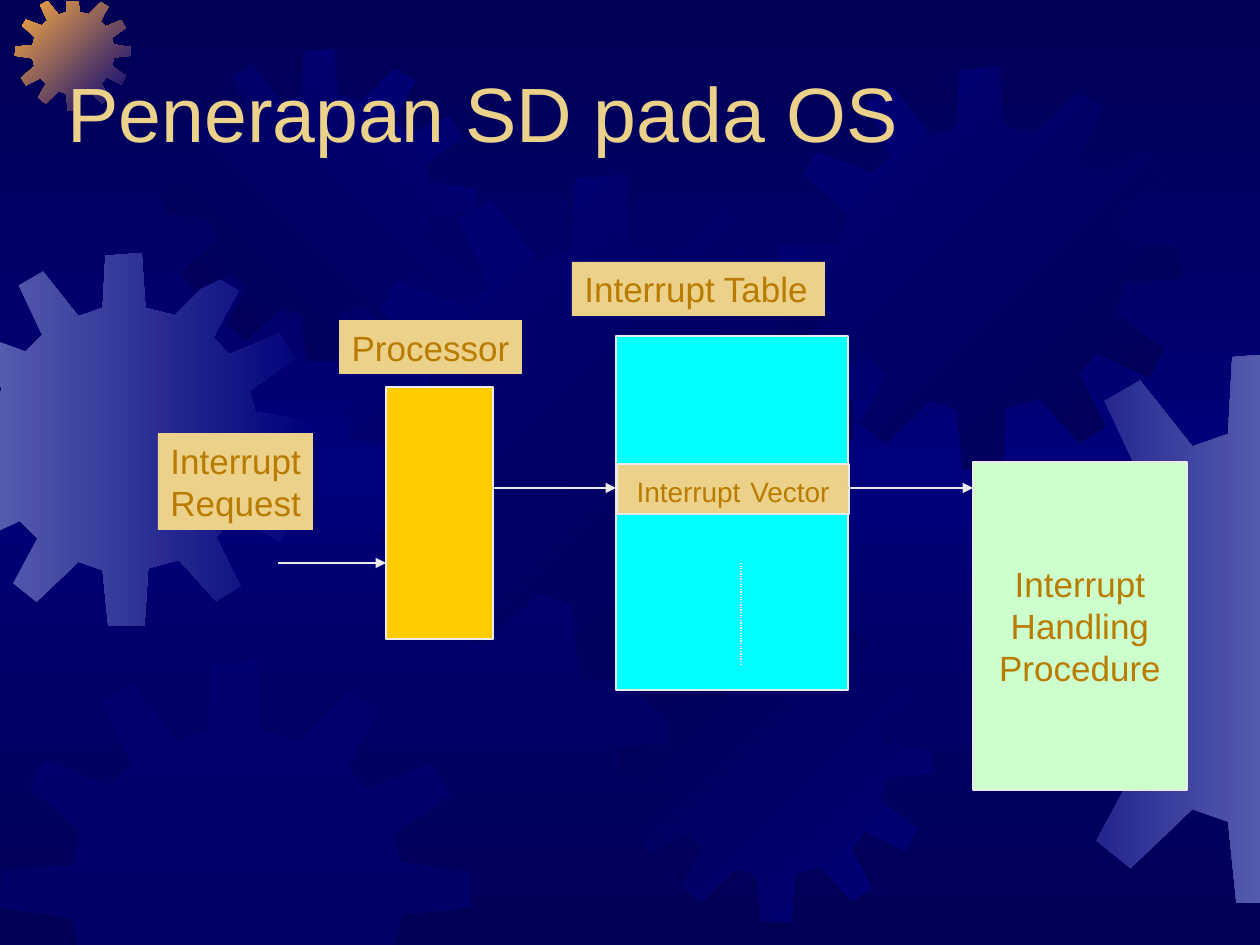
"""Builds a slide on how an interrupt request is handled."""
from copy import deepcopy
from itertools import pairwise
from lxml import etree
from pptx import Presentation
from pptx.dml.color import RGBColor
from pptx.enum.dml import MSO_LINE
from pptx.enum.shapes import MSO_CONNECTOR, MSO_SHAPE
from pptx.enum.text import MSO_ANCHOR, MSO_AUTO_SIZE, PP_ALIGN
from pptx.oxml.ns import qn
from pptx.util import Pt

RECT, LINE = MSO_SHAPE.RECTANGLE, MSO_CONNECTOR.STRAIGHT
LEFT, MID = PP_ALIGN.LEFT, PP_ALIGN.CENTER
DOTS = MSO_LINE.ROUND_DOT
PX = 914400 // 126

THEME = dict(
    font="Arial", head=44, body=20, small=16, rule=0.75,
    night="000054", blue="00007A", haze="555BAD", amber="FCAB40",
    sand="EBD189", ink="B97C01", edge="EAEAEA",
    gold="FFCC00", cyan="00FFFF", mint="CCFFCC",
)

TITLE = ("Penerapan SD pada OS", (55, 53, 1205, 111))
BOUNDS = (-1, 2, 1261, 950)
UNIT = 401
GEAR = [
    (255, 67), (223, 59), (219, 0), (180, 3), (177, 59), (151, 68),
    (113, 20), (87, 35), (112, 88), (94, 106), (38, 85), (25, 107),
    (68, 145), (61, 174), (1, 178), (0, 210), (61, 219), (67, 246),
    (22, 287), (38, 312), (88, 288), (107, 307), (81, 355), (106, 375),
    (151, 332), (177, 341), (183, 400), (222, 401), (226, 339), (259, 330),
    (299, 374), (325, 358), (299, 306), (316, 284), (368, 309), (384, 281),
    (336, 246), (342, 216), (401, 210), (400, 180), (341, 171), (335, 148),
    (383, 114), (367, 87), (313, 109), (296, 91), (323, 41), (297, 25),
]
GEARS = [
    (-62, 253, 373, ("haze", "blue"), 0),
    (15, -5, 116, ("amber", "blue"), 45),
    (164, 49, 312, ("night", "blue"), 315),
    (349, 175, 505, ("blue", "night"), 45),
    (0, 661, 471, ("blue",), 0),
    (619, 610, 312, ("night", "blue"), 45),
    (779, 67, 403, ("blue", "night"), 45),
    (985, 353, 551, ("blue", "haze"), 0),
]
BOXES = [
    ((386, 387, 107, 252), "gold", True, MID, []),
    ((616, 336, 232, 354), "cyan", True, MID, []),
    ((617, 464, 232, 50), "sand", True, MID,
     [[("Interrupt", "small"), (" ", "body"), ("Vector", "small")]]),
    ((973, 462, 214, 328), "mint", True, MID,
     [[("Interrupt", "body")], [("Handling", "body")], [("Procedure", "body")]]),
    ((339, 320, 183, 54), "sand", False, MID, [[("Processor", "body")]]),
    ((572, 262, 253, 54), "sand", False, LEFT, [[("Interrupt Table", "body")]]),
    ((158, 433, 155, 97), "sand", False, LEFT,
     [[("Interrupt", "body")], [("Request", "body")]]),
]
LINES = [
    ((493, 488, 616, 488), True),
    ((848, 488, 973, 488), True),
    ((278, 563, 386, 563), True),
    ((741, 563, 741, 664), False),
]


def emu(nums):
    return [round(n * PX) for n in nums]


def hue(name):
    return RGBColor.from_string(THEME[name])


def put(obj, vals):
    for key, val in vals.items():
        setattr(obj, key, val)


def solid(fill, name):
    fill.solid()
    fill.fore_color.rgb = hue(name)


def blend(fill, names, angle):
    fill.gradient()
    fill.gradient_angle = (360 - angle) % 360
    for pos, (stop, name) in enumerate(zip(fill.gradient_stops, names)):
        stop.position = pos
        stop.color.rgb = hue(name)


def stroke(line):
    solid(line.fill, "edge")
    line.width = Pt(THEME["rule"])


def write(para, runs, tone, align):
    para.alignment = align
    for text, size in runs:
        run = para.add_run()
        run.text = text
        put(run.font, dict(name=THEME["font"], size=Pt(THEME[size])))
        run.font.color.rgb = hue(tone)


def cut(pts, axis, edge, sign):
    """Keep the part of an outline on one side of an edge."""
    kept = []
    for a, b in pairwise([pts[-1], *pts]):
        da, db = (sign * (p[axis] - edge) for p in (a, b))
        if da * db < 0:
            t = da / (da - db)
            kept.append(tuple(m + t * (n - m) for m, n in zip(a, b)))
        if db >= 0:
            kept.append(b)
    return kept


def gear(shapes, left, top, size, names, angle):
    pts = [(left + x * size / UNIT, top + y * size / UNIT) for x, y in GEAR]
    for side, edge in enumerate(BOUNDS):
        pts = cut(pts, side % 2, edge, 1 if side < 2 else -1)
    pts = [emu(p) for p in pts]
    form = shapes.build_freeform(*pts[0], scale=1.0)
    form.add_line_segments(pts[1:], close=True)
    shape = form.convert_to_shape()
    shape.shadow.inherit = False
    shape.line.fill.background()
    if len(names) > 1:
        blend(shape.fill, names, angle)
    else:
        solid(shape.fill, names[0])
        tint = shape.element.spPr.find(".//" + qn("a:srgbClr"))
        etree.SubElement(tint, qn("a:alpha"), val="50000")


def box(shapes, rect, color, framed, align, paras):
    shape = shapes.add_shape(RECT, *emu(rect))
    shape.shadow.inherit = False
    solid(shape.fill, color)
    if framed:
        stroke(shape.line)
    else:
        shape.line.fill.background()
    frame = shape.text_frame
    put(frame, dict(word_wrap=False, vertical_anchor=MSO_ANCHOR.MIDDLE))
    for num, runs in enumerate(paras):
        para = frame.add_paragraph() if num else frame.paragraphs[0]
        write(para, runs, "ink", align)


def link(shapes, ends, arrow):
    wire = shapes.add_connector(LINE, *emu(ends))
    stroke(wire.line)
    props = wire.element.spPr
    if arrow:
        etree.SubElement(props.find(qn("a:ln")), qn("a:tailEnd"), type="triangle")
    else:
        wire.line.dash_style = DOTS
    etree.SubElement(props, qn("a:effectLst"))


deck = Presentation()
put(deck, dict(slide_width=1260 * PX, slide_height=945 * PX))
slide = deck.slides.add_slide(deck.slide_layouts[5])
shapes = slide.shapes

blend(slide.background.fill, ("night", "blue"), 90)
stops = slide.element.xpath("./p:cSld/p:bg//a:gsLst")[0]
stops.append(deepcopy(stops[0]))
stops[1].set("pos", "50000")
stops[2].set("pos", "100000")

for item in GEARS:
    gear(shapes, *item)

title = shapes.title
text, rect = TITLE
put(title, dict(zip(("left", "top", "width", "height"), emu(rect))))
put(title.text_frame, dict(word_wrap=True, auto_size=MSO_AUTO_SIZE.NONE,
                           vertical_anchor=MSO_ANCHOR.BOTTOM))
write(title.text_frame.paragraphs[0], [(text, "head")], "sand", LEFT)
title.element.getparent().append(title.element)

for item in BOXES:
    box(shapes, *item)
for item in LINES:
    link(shapes, *item)

deck.save("out.pptx")
